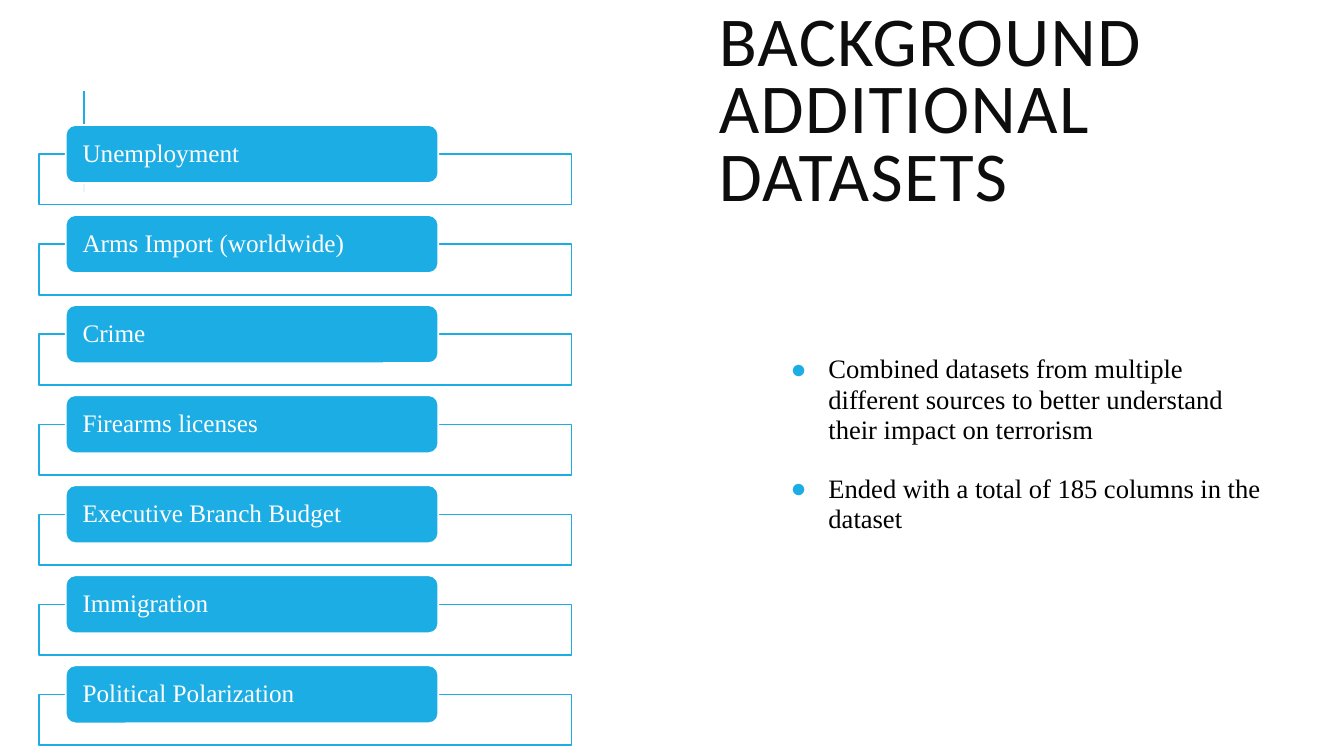
from lxml.etree import SubElement
from pptx import Presentation
from pptx.dml.color import RGBColor
from pptx.enum.shapes import MSO_CONNECTOR, MSO_SHAPE
from pptx.enum.text import MSO_ANCHOR, MSO_AUTO_SIZE, PP_ALIGN
from pptx.oxml.ns import qn
from pptx.util import Pt

BLUE = RGBColor(0x1C, 0xAD, 0xE4)
WHITE = RGBColor(0xFF, 0xFF, 0xFF)
BLACK = RGBColor(0x00, 0x00, 0x00)
NEAR_BLACK = RGBColor(0x0D, 0x0D, 0x0D)

DATASETS = [
    "Unemployment",
    "Arms Import (worldwide)",
    "Crime",
    "Firearms licenses",
    "Executive Branch Budget",
    "Immigration",
    "Political Polarization",
]
FINDINGS = [
    "Combined datasets from multiple different sources to better understand "
    "their impact on terrorism",
    "Ended with a total of 185 columns in the dataset",
]
FIRST_FRAME_TOP = 110.2
DATASET_PITCH = 64.32


class SlideBuilder:
    heading_font = "Calibri"
    text_font = "Times New Roman"
    outline = 1.25

    def __init__(self, slide):
        self.slide = slide

    def place(self, item, left, top, width, height):
        item.left, item.top = Pt(left), Pt(top)
        item.width, item.height = Pt(width), Pt(height)

    def style_font(self, paragraph, name, size, color):
        paragraph.font.name = name
        paragraph.font.size = Pt(size)
        paragraph.font.color.rgb = color

    def title(self, lines, *bounds):
        heading = self.slide.shapes.title
        self.place(heading, *bounds)
        frame = heading.text_frame
        frame.word_wrap = True
        frame.auto_size = MSO_AUTO_SIZE.NONE
        frame.vertical_anchor = MSO_ANCHOR.MIDDLE
        paragraph = frame.paragraphs[0]
        for number, line in enumerate(lines):
            if number:
                paragraph.add_line_break()
            run = paragraph.add_run()
            run.text = line
            run.font._element.set("spc", "100")
        paragraph.alignment = PP_ALIGN.LEFT
        paragraph.line_spacing = 0.8
        self.style_font(paragraph, self.heading_font, 50, NEAR_BLACK)

    def bullets(self, items, *bounds):
        body = self.slide.placeholders[1]
        self.place(body, *bounds)
        frame = body.text_frame
        frame.word_wrap = True
        frame.auto_size = MSO_AUTO_SIZE.NONE
        frame.vertical_anchor = MSO_ANCHOR.TOP
        frame.margin_left = frame.margin_right = Pt(3.6)
        frame.margin_top = frame.margin_bottom = Pt(3.6)
        for number, item in enumerate(items):
            paragraph = frame.add_paragraph() if number else frame.paragraphs[0]
            paragraph.text = item
            paragraph.line_spacing = 0.95
            paragraph.space_before = Pt(20.5 if number else 0)
            self.add_bullet(paragraph)
            self.style_font(paragraph, self.text_font, 19, BLACK)

    def add_bullet(self, paragraph):
        properties = paragraph._p.get_or_add_pPr()
        properties.set("marL", str(Pt(36)))
        properties.set("indent", str(Pt(-27)))
        color = SubElement(properties, qn("a:buClr"))
        SubElement(color, qn("a:srgbClr"), val=str(BLUE))
        SubElement(properties, qn("a:buFont"), typeface=self.text_font)
        SubElement(properties, qn("a:buChar"), char="●")

    def box(self, preset, fill, line, *bounds):
        shape = self.slide.shapes.add_shape(preset, *map(Pt, bounds))
        shape.shadow.inherit = False
        shape.fill.solid()
        shape.fill.fore_color.rgb = fill
        shape.line.color.rgb = line
        shape.line.width = Pt(self.outline)
        return shape

    def frame(self, *bounds):
        """Add an outlined box whose white fill lets a little show through."""
        outline = self.box(MSO_SHAPE.RECTANGLE, WHITE, BLUE, *bounds)
        white = outline._element.spPr.find(qn("a:solidFill")).find(qn("a:srgbClr"))
        SubElement(white, qn("a:alpha"), val="90000")

    def label(self, text, *bounds):
        pill = self.box(MSO_SHAPE.ROUNDED_RECTANGLE, BLUE, WHITE, *bounds)
        frame = pill.text_frame
        frame.word_wrap = True
        frame.vertical_anchor = MSO_ANCHOR.MIDDLE
        frame.margin_left = frame.margin_right = Pt(10)
        frame.margin_top = frame.margin_bottom = 0
        paragraph = frame.paragraphs[0]
        paragraph.text = text
        paragraph.alignment = PP_ALIGN.LEFT
        paragraph.line_spacing = 0.9
        self.style_font(paragraph, self.text_font, 18, WHITE)

    def line(self, *ends):
        rule = self.slide.shapes.add_connector(MSO_CONNECTOR.STRAIGHT, *map(Pt, ends))
        rule.line.color.rgb = BLUE
        rule.line.width = Pt(1.5)
        SubElement(rule._element.spPr, qn("a:effectLst"))


def main():
    presentation = Presentation()
    presentation.slide_width, presentation.slide_height = Pt(960), Pt(540)
    builder = SlideBuilder(
        presentation.slides.add_slide(presentation.slide_layouts[1])
    )
    builder.line(60, 136.8, 60, 64.8)
    builder.title(["BACKGROUND", "ADDITIONAL DATASETS"], 506.2, 22.3, 455.8, 118)
    builder.bullets(FINDINGS, 552.2, 249.8, 364.3, 154)
    for number, dataset in enumerate(DATASETS):
        top = FIRST_FRAME_TOP + number * DATASET_PITCH
        builder.frame(28, top, 380.2, 36)
        builder.label(dataset, 46.9, top - 20.9, 266.2, 41.5)
    presentation.save("out.pptx")


if __name__ == "__main__":
    main()
